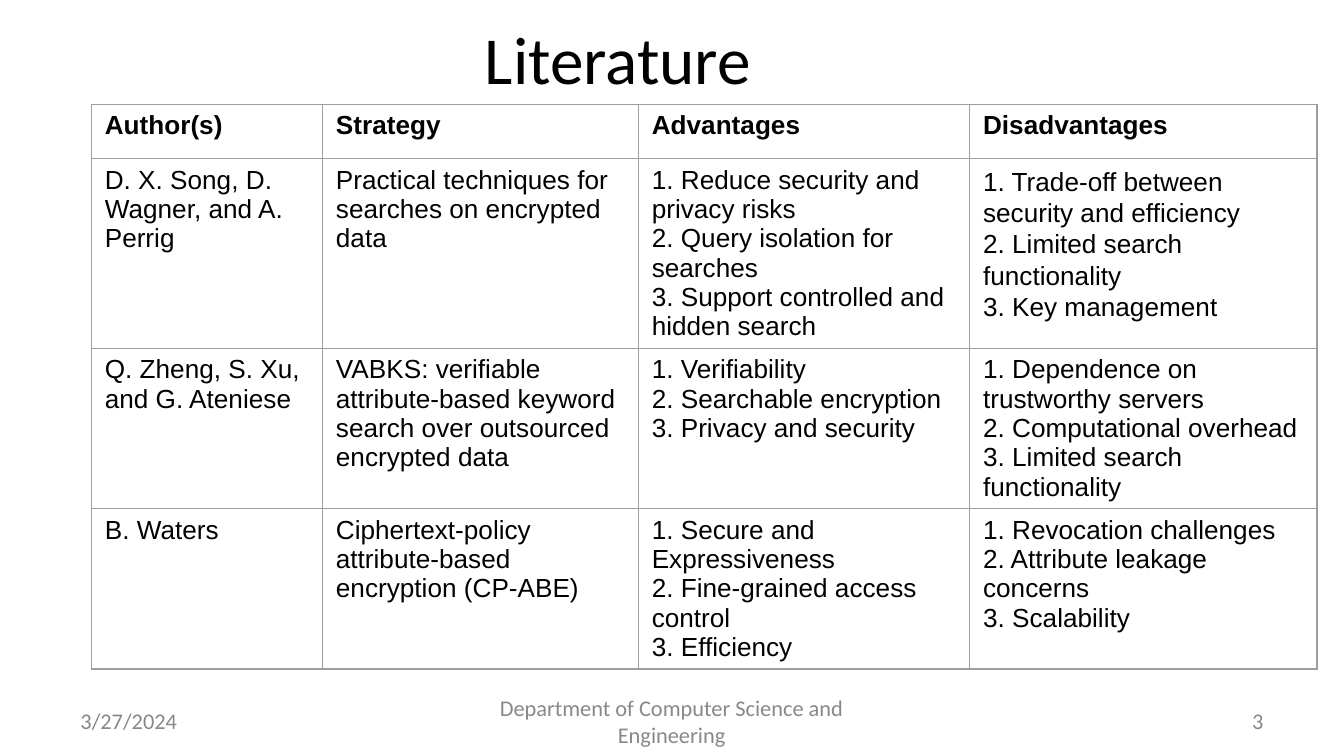
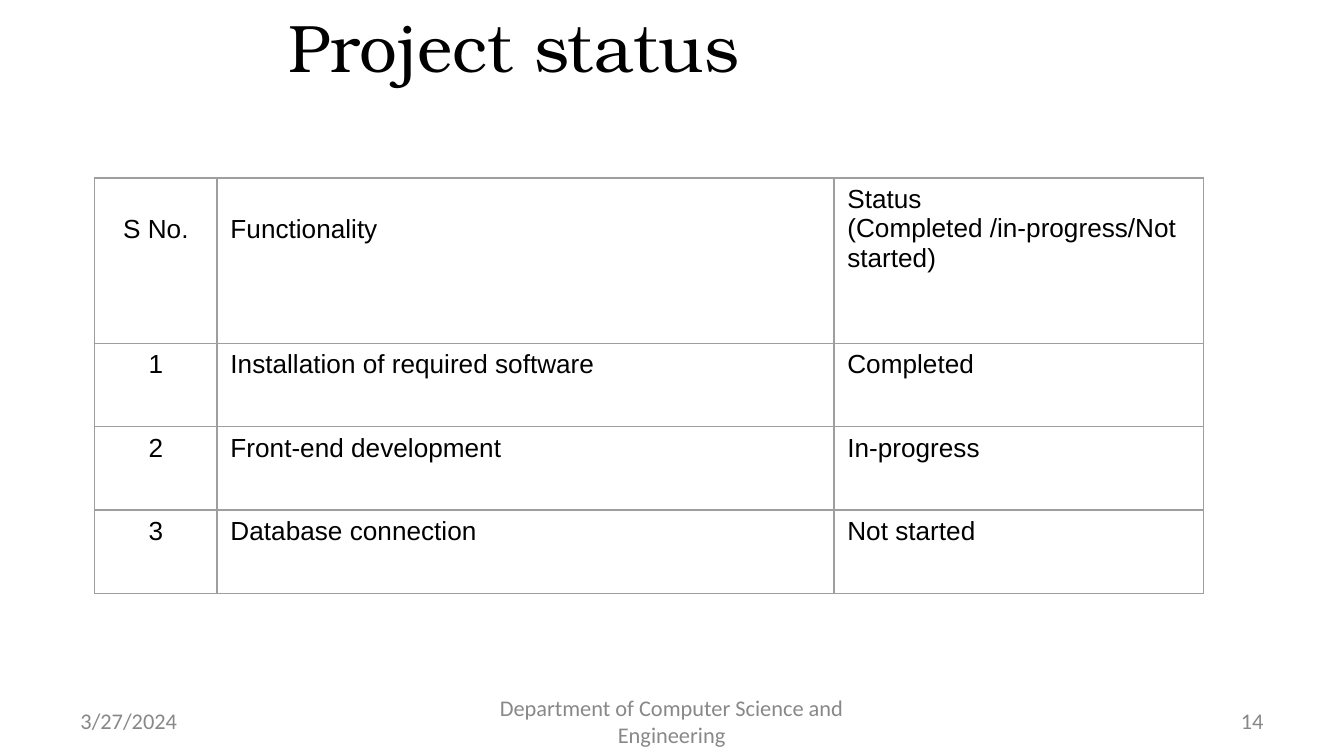
import pptx
import pptx.dml.color
import pptx.enum.text
import pptx.oxml.ns
import pptx.util
from lxml import etree

PX = 4572  # EMU per px, 200 px to the inch
INK, MUTED, BORDER = "000000", "888888", "9E9E9E"
TITLE_FONT, ACCENT_FONT, TABLE_FONT = "Calibri", "TeX Gyre Bonum", "Arial"
LEFT = pptx.enum.text.PP_ALIGN.LEFT
CENTER = pptx.enum.text.PP_ALIGN.CENTER
RIGHT = pptx.enum.text.PP_ALIGN.RIGHT


def px(length):
    return pptx.util.Emu(length * PX)


def color(value):
    return pptx.dml.color.RGBColor.from_string(value)


class Writer:
    """Holds the deck, its shared style and the current slide."""

    def __init__(self):
        self.deck = pptx.Presentation()
        self.deck.slide_width = px(2000)
        self.deck.slide_height = px(1125)
        self.page = None

    def add_page(self, number):
        self.page = self.deck.slides.add_slide(self.deck.slide_layouts[5])
        self.footer("3/27/2024", 100, 467, LEFT)
        self.footer("Department of Computer Science and Engineering", 683, 633, CENTER)
        self.footer(str(number), 1433, 467, RIGHT)

    def format(self, para, size, font, ink, align=LEFT, bold=False):
        para.alignment = align
        para.font.size = pptx.util.Pt(size)
        para.font.name = font
        para.font.bold = bold
        para.font.color.rgb = color(ink)

    def prepare_frame(self, frame):
        frame.word_wrap = True
        frame.auto_size = pptx.enum.text.MSO_AUTO_SIZE.NONE
        frame.vertical_anchor = pptx.enum.text.MSO_ANCHOR.MIDDLE

    def footer(self, text, left, width, align):
        box = self.page.shapes.add_textbox(px(left), px(1043), px(width), px(60))
        self.prepare_frame(box.text_frame)
        box.text_frame.text = text
        self.format(box.text_frame.paragraphs[0], 12, TITLE_FONT, MUTED, align)

    def title(self, text, left, top, font=TITLE_FONT):
        box = self.page.shapes.title
        box.left, box.top, box.width, box.height = map(px, (left, top, 1338, 137))
        self.prepare_frame(box.text_frame)
        box.text_frame.text = text
        self.format(box.text_frame.paragraphs[0], 36, font, INK, CENTER)

    def table(self, left, top, widths, heights, rows, bold_header=False, centered=()):
        """Draw rows of text; the columns listed in centered are centred."""
        frame = self.page.shapes.add_table(len(rows), len(widths), px(left), px(top),
                                           px(sum(widths)), px(sum(heights)))
        table = frame.table
        table.first_row = table.horz_banding = False
        for column, width in zip(table.columns, widths):
            column.width = px(width)
        for row, height in zip(table.rows, heights):
            row.height = px(height)
        for r, row in enumerate(rows):
            for c, text in enumerate(row):
                cell = table.cell(r, c)
                cell.text = text
                for para in cell.text_frame.paragraphs:
                    self.format(para, 14, TABLE_FONT, INK,
                                CENTER if c in centered else LEFT, bold_header and r == 0)
                self.outline(cell)
                cell.fill.background()
        return table

    def outline(self, cell):
        properties = cell._tc.get_or_add_tcPr()
        for side in ("a:lnL", "a:lnR", "a:lnT", "a:lnB"):
            line = etree.SubElement(properties, pptx.oxml.ns.qn(side), w=str(pptx.util.Pt(0.75)))
            fill = etree.SubElement(line, pptx.oxml.ns.qn("a:solidFill"))
            etree.SubElement(fill, pptx.oxml.ns.qn("a:srgbClr"), val=BORDER)


def literature(writer):
    writer.add_page(3)
    writer.title("Literature ", 262, 17)
    table = writer.table(136, 155, (344, 470, 493, 517), (81, 282, 238, 238), [
        ("Author(s)", "Strategy", "Advantages", "Disadvantages"),
        ("D. X. Song, D. Wagner, and A. Perrig",
         "Practical techniques for searches on encrypted data",
         "1. Reduce security and privacy risks\n2. Query isolation for searches\n"
         "3. Support controlled and hidden search",
         "1. Trade-off between security and efficiency\n2. Limited search functionality\n"
         "3. Key management"),
        ("Q. Zheng, S. Xu, and G. Ateniese",
         "VABKS: verifiable attribute-based keyword search over outsourced encrypted data",
         "1. Verifiability\n2. Searchable encryption\n3. Privacy and security",
         "1. Dependence on trustworthy servers\n2. Computational overhead\n"
         "3. Limited search functionality"),
        ("B. Waters",
         "Ciphertext-policy attribute-based encryption (CP-ABE)",
         "1. Secure and Expressiveness\n2. Fine-grained access control\n3. Efficiency",
         "1. Revocation challenges\n2. Attribute leakage concerns\n3. Scalability"),
    ], bold_header=True)
    for para in table.cell(1, 3).text_frame.paragraphs:
        para.line_spacing = 1.07


def project_status(writer):
    writer.add_page(14)
    writer.title("Project status", 96, 0, ACCENT_FONT)
    table = writer.table(141, 265, (182, 918, 550), (246, 124, 124, 124), [
        ("S No.", "Functionality", "Status\n(Completed /in-progress/Not started)"),
        ("1", "Installation of required software", "Completed"),
        ("2", "Front-end development", "In-progress"),
        ("3", "Database connection", "Not started"),
    ], centered=(0,))
    for column in (0, 1):  # level with the second line of the status heading
        table.cell(0, column).margin_top = px(54)


def main():
    writer = Writer()
    literature(writer)
    project_status(writer)
    writer.deck.save("out.pptx")


if __name__ == "__main__":
    main()
